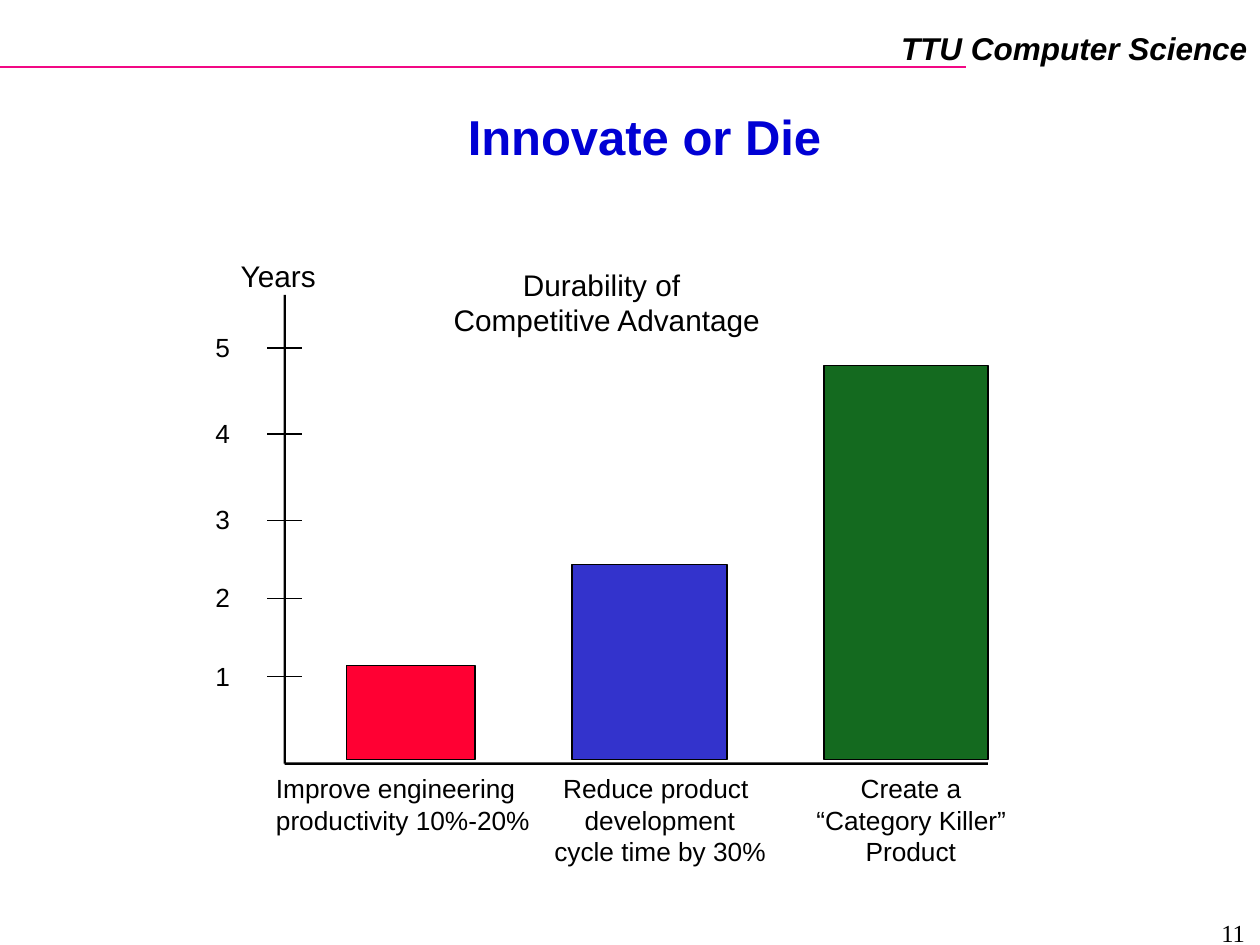
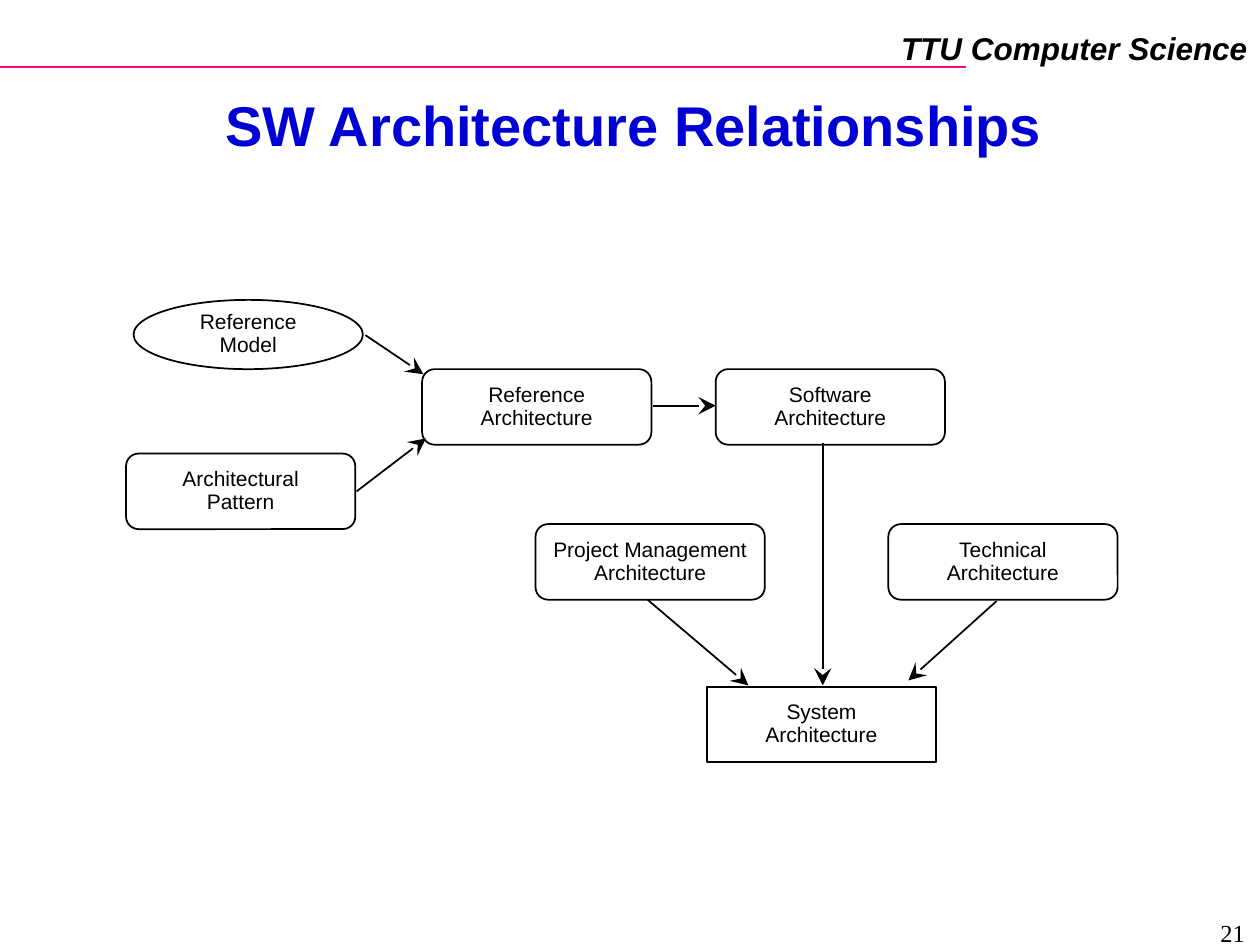
from lxml import etree
from pptx import Presentation
from pptx.dml.color import RGBColor
from pptx.enum.shapes import MSO_CONNECTOR, MSO_SHAPE
from pptx.enum.text import MSO_ANCHOR, MSO_AUTO_SIZE, PP_ALIGN
from pptx.oxml.ns import qn
from pptx.util import Inches, Pt

LINE = MSO_CONNECTOR.STRAIGHT
RECT, ROUND, OVAL = MSO_SHAPE.RECTANGLE, MSO_SHAPE.ROUNDED_RECTANGLE, MSO_SHAPE.OVAL
LEFT, MID, RIGHT = PP_ALIGN.LEFT, PP_ALIGN.CENTER, PP_ALIGN.RIGHT
TOP, CENTER = MSO_ANCHOR.TOP, MSO_ANCHOR.MIDDLE
GROW, FIXED = MSO_AUTO_SIZE.SHAPE_TO_FIT_TEXT, MSO_AUTO_SIZE.NONE

BLACK = RGBColor(0x00, 0x00, 0x00)
PINK = RGBColor(0xF2, 0x08, 0x84)
NAVY = RGBColor(0x00, 0x00, 0xD4)
RED = RGBColor(0xFF, 0x00, 0x33)
BLUE = RGBColor(0x33, 0x33, 0xCC)
GREEN = RGBColor(0x14, 0x6A, 0x1F)

COLS, ROWS = 100, 75
CELL = Inches(0.1)
PAGE = (0, 0, COLS, ROWS)
PLOT = (17, 20, 64, 50)
FLOW = (10, 23, 79, 38)

HEAD = {"name": "Arial", "size": Pt(18), "bold": True, "italic": True}
FOOT = {"name": "Times New Roman", "size": Pt(14)}
LABEL = {"name": "Arial", "size": Pt(15)}
LARGE = {"name": "Arial", "size": Pt(17)}
NODE = {"name": "Arial", "size": Pt(12)}
TITLE = {"name": "Arial", "bold": True}

TICKS = [33.7, 27.5, 21.3, 14.45, 7.6]
BARS = [
    (10.5, 10.2, 7.5, RED,
     [(4.9, 19.2, "Improve engineering"), (4.9, 20.4, "productivity 10%-20%")]),
    (28.4, 12.3, 15.5, BLUE,
     [(27.7, 15.3, "Reduce product"), (29.4, 12.4, "development"),
      (27, 17, "cycle time by 30%")]),
    (48.4, 13, 31.3, GREEN,
     [(51.3, 8.2, "Create a"), (47.8, 15.3, "“Category Killer”"),
      (51.7, 7.4, "Product")]),
]
NODES = [
    (OVAL, 0.6, 0.8, 5.5, ["Reference", "Model"]),
    (ROUND, 0, 13, 6, ["Architectural", "Pattern"]),
    (ROUND, 23.5, 6.3, 6, ["Reference", "Architecture"]),
    (ROUND, 46.8, 6.3, 6, ["Software", "Architecture"]),
    (ROUND, 32.5, 18.6, 6, ["Project Management", "Architecture"]),
    (ROUND, 60.5, 18.6, 6, ["Technical", "Architecture"]),
    (RECT, 46.1, 31.5, 6, ["System", "Architecture"]),
]
ARROWS = [
    (19, 3.6, 23.6, 6.7), (41.8, 9.2, 46.8, 9.2), (18.3, 16, 23.8, 11.8),
    (69.1, 24.7, 62.1, 31), (55.3, 12.2, 55.3, 31.4), (41.4, 24.6, 49.4, 31.4),
]


def place(box, x, y):
    """Turn a grid point within a box into slide lengths."""
    return round((box[0] + x) * CELL), round((box[1] + y) * CELL)


def span(*cells):
    """Turn counts of grid cells into lengths."""
    return [round(n * CELL) for n in cells]


def write(frame, lines, font, color=BLACK, align=LEFT, space=None):
    """Fill a text frame with styled paragraphs."""
    for i, line in enumerate(lines):
        para = frame.paragraphs[0] if i == 0 else frame.add_paragraph()
        para.text, para.alignment = line, align
        if space:
            para.line_spacing = space
        for key, value in font.items():
            setattr(para.font, key, value)
        para.font.color.rgb = color


def adjust(frame, pad=(0, 0), anchor=TOP, wrap=False, size=GROW):
    """Set the margins, anchor and wrapping of a text frame."""
    side, edge = span(*pad)
    form = {"margin_left": side, "margin_right": side, "margin_top": edge,
            "margin_bottom": edge, "vertical_anchor": anchor,
            "word_wrap": wrap, "auto_size": size}
    for key, value in form.items():
        setattr(frame, key, value)


def add_text(slide, box, area, text, font, color=BLACK, align=LEFT, space=0.9, **form):
    """Add a one-line text box."""
    x, y, w, h = area
    frame = slide.shapes.add_textbox(*place(box, x, y), *span(w, h)).text_frame
    adjust(frame, **form)
    write(frame, [text], font, color, align, space)


def add_form(slide, box, kind, area, fill=None, width=None):
    """Add a preset shape with optional fill and outline."""
    x, y, w, h = area
    shape = slide.shapes.add_shape(kind, *place(box, x, y), *span(w, h))
    shape.shadow.inherit = False
    if fill is None:
        shape.fill.background()
    else:
        shape.fill.solid()
        shape.fill.fore_color.rgb = fill
    if width is None:
        shape.line.fill.background()
    else:
        shape.line.color.rgb, shape.line.width = BLACK, Pt(width)
    return shape


def add_line(slide, box, ends, color=BLACK, width=1, arrow=False):
    """Add a straight line, with an arrowhead if asked."""
    x, y, right, low = ends
    line = slide.shapes.add_connector(LINE, *place(box, x, y), *place(box, right, low))
    line.line.color.rgb, line.line.width = color, Pt(width)
    if arrow:
        etree.SubElement(line.line._get_or_add_ln(), qn("a:tailEnd"),
                         type="stealth", w="lg", len="lg")
    etree.SubElement(line._element.spPr, qn("a:effectLst"))


def add_page(deck, title, area, size, number):
    """Add a slide with its header, title and page number."""
    slide = deck.slides.add_slide(deck.slide_layouts[6])
    add_line(slide, PAGE, (0, 5.3, 76.7, 5.3), PINK)
    add_text(slide, PAGE, (70.5, 1.8, 29.5, 4), "TTU Computer Science", HEAD,
             align=RIGHT, space=None, pad=(1, 0.5))
    add_text(slide, PAGE, area, title, {**TITLE, "size": Pt(size)}, NAVY, MID, 0.87,
             pad=(1, 0.5), anchor=CENTER, wrap=True, size=FIXED)
    add_text(slide, PAGE, (76.5, 72.4, 23.3, 2.2), str(number), FOOT,
             align=RIGHT, space=None, pad=(1, 0.5), wrap=True, size=FIXED)
    return slide


def draw_axes(slide, box):
    """Draw the axes, scale and headings of the bar plot."""
    for area in [(5.5, 3.4, 0.2, 37.2), (5.6, 40.5, 55.8, 0.2)]:
        add_form(slide, box, RECT, area, BLACK)
    for year, y in enumerate(TICKS, 1):
        add_line(slide, box, (4.2, y, 7, y), width=0.88)
        add_text(slide, box, (0.1, y - 1.05, 1.2, 2.3), str(year), LABEL)
    for x, y, w, text in [(2.1, 0.8, 6.2, "Years"),
                          (24.5, 1.5, 13.2, "Durability of"),
                          (19, 4.3, 24.5, "Competitive Advantage")]:
        add_text(slide, box, (x, y, w, 2.6), text, LARGE)


def draw_bars(slide, box):
    """Draw the bars on the base line with their labels below."""
    for x, w, h, color, label in BARS:
        add_form(slide, box, RECT, (x, 40.3 - h, w, h), color, 0.88)
        for row, (left, wide, text) in enumerate(label):
            add_text(slide, box, (left, 41.6 + 2.5 * row, wide, 2.3), text, LABEL)


def draw_flow(slide, box):
    """Draw the nodes and the arrows between them."""
    for kind, x, y, h, lines in NODES:
        shape = add_form(slide, box, kind, (x, y, 18.2, h), width=1)
        adjust(shape.text_frame, (0, 0.5), CENTER, size=FIXED)
        write(shape.text_frame, lines, NODE, align=MID, space=0.9)
    for ends in ARROWS:
        add_line(slide, box, ends, arrow=True)


def main():
    """Build and save the deck."""
    deck = Presentation()
    deck.slide_width, deck.slide_height = span(COLS, ROWS)
    slide = add_page(deck, "Innovate or Die", (23.9, 7.7, 54.5, 6.9), 28, 11)
    draw_axes(slide, PLOT)
    draw_bars(slide, PLOT)
    slide = add_page(deck, "SW Architecture Relationships", (7.8, 8.8, 85, 2.9), 32, 21)
    draw_flow(slide, FLOW)
    deck.save("out.pptx")


if __name__ == "__main__":
    main()
